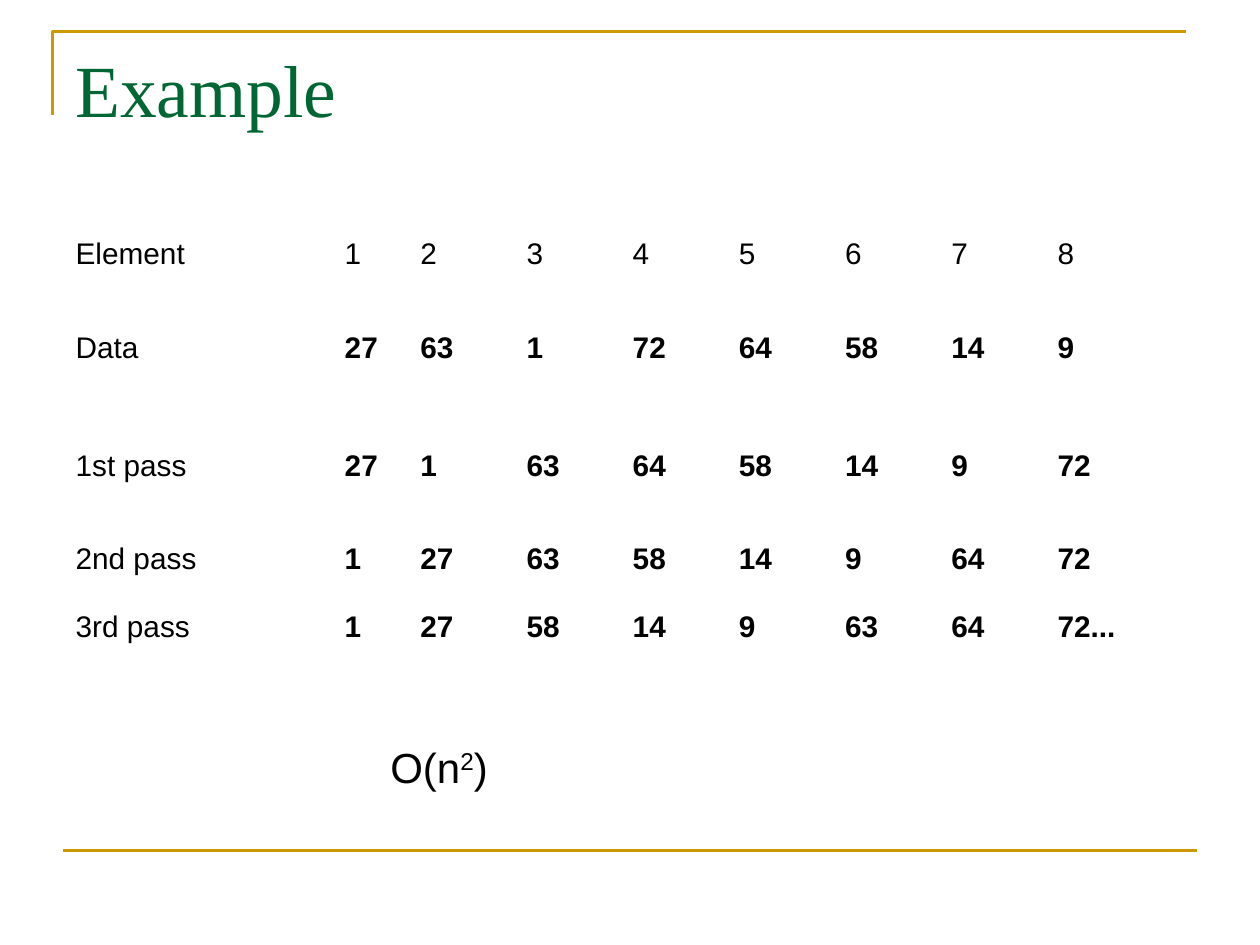
import pptx
import pptx.dml.color
import pptx.enum.shapes
import pptx.enum.text
import pptx.util
from lxml import etree

Pt = pptx.util.Pt
GOLD, GREEN, BLACK = "CC9900", "006633", "000000"

TITLE = "Example"
ROWS = [
    ("Element", "1 2 3 4 5 6 7 8"),
    ("Data", "27 63 1 72 64 58 14 9"),
    ("1st pass", "27 1 63 64 58 14 9 72"),
    ("2nd pass", "1 27 63 58 14 9 64 72"),
    ("3rd pass", "1 27 58 14 9 63 64 72..."),
]
ORDER = [("O(n", False), ("2", True), (")", False)]

LEFT, WIDTH = 36, 648
WIDTHS = [153.8, 43.2] + [60.7] * 6
WIDTHS.append(WIDTH - sum(WIDTHS))
HEIGHTS = [38.9, 67.6, 67.6, 38.9, 38.9]


def rgb(code):
    return pptx.dml.color.RGBColor.from_string(code)


def style(para, size, name="Arial", color=BLACK, bold=False):
    font = para.font
    font.size, font.name, font.bold = Pt(size), name, bold
    font.color.rgb = rgb(color)


def stroke(shape):
    shape.line.color.rgb = rgb(GOLD)
    shape.line.width = Pt(1.5)


def add_text(slide, left, top, width, height):
    """Add a wrapping text box and return its first paragraph."""
    box = slide.shapes.add_textbox(Pt(left), Pt(top), Pt(width), Pt(height))
    box.text_frame.word_wrap = True
    return box.text_frame.paragraphs[0]


def add_frame(slide):
    """Draw the corner at the top and the rule at the bottom."""
    shapes = slide.shapes
    pen = shapes.build_freeform(30, 66, scale=Pt(1))
    pen.add_line_segments([(30, 18), (678, 18)], close=False)
    edge = pen.convert_to_shape()
    edge.fill.background()
    edge.shadow.inherit = False
    stroke(edge)

    kind = pptx.enum.shapes.MSO_CONNECTOR.STRAIGHT
    rule = shapes.add_connector(kind, Pt(LEFT), Pt(486), Pt(LEFT + WIDTH), Pt(486))
    etree.SubElement(rule.element.spPr, pptx.oxml.ns.qn("a:effectLst"))
    stroke(rule)


def add_grid(slide):
    frame = slide.shapes.add_table(
        len(ROWS), len(WIDTHS), Pt(LEFT), Pt(126), Pt(WIDTH), Pt(sum(HEIGHTS)))
    table = frame.table
    table.first_row = table.horz_banding = False
    for col, width in zip(table.columns, WIDTHS):
        col.width = Pt(width)
    for r, (label, values) in enumerate(ROWS):
        table.rows[r].height = Pt(HEIGHTS[r])
        for c, text in enumerate([label] + values.split()):
            cell = table.cell(r, c)
            cell.fill.background()
            cell.vertical_anchor = pptx.enum.text.MSO_ANCHOR.MIDDLE
            cell.text = text
            style(cell.text_frame.paragraphs[0], 17, bold=r > 0 and c > 0)


def main():
    deck = pptx.Presentation()
    deck.slide_width, deck.slide_height = Pt(720), Pt(540)
    slide = deck.slides.add_slide(deck.slide_layouts[6])

    add_frame(slide)
    title = add_text(slide, LEFT, 21.6, WIDTH, 90)
    title.text = TITLE
    style(title, 42, "Times New Roman", GREEN)
    add_grid(slide)

    order = add_text(slide, 216, 420, 252, 36)
    style(order, 24)
    for text, raised in ORDER:
        run = order.add_run()
        run.text = text
        if raised:
            run.font._element.set("baseline", "30000")

    deck.save("out.pptx")


if __name__ == "__main__":
    main()
